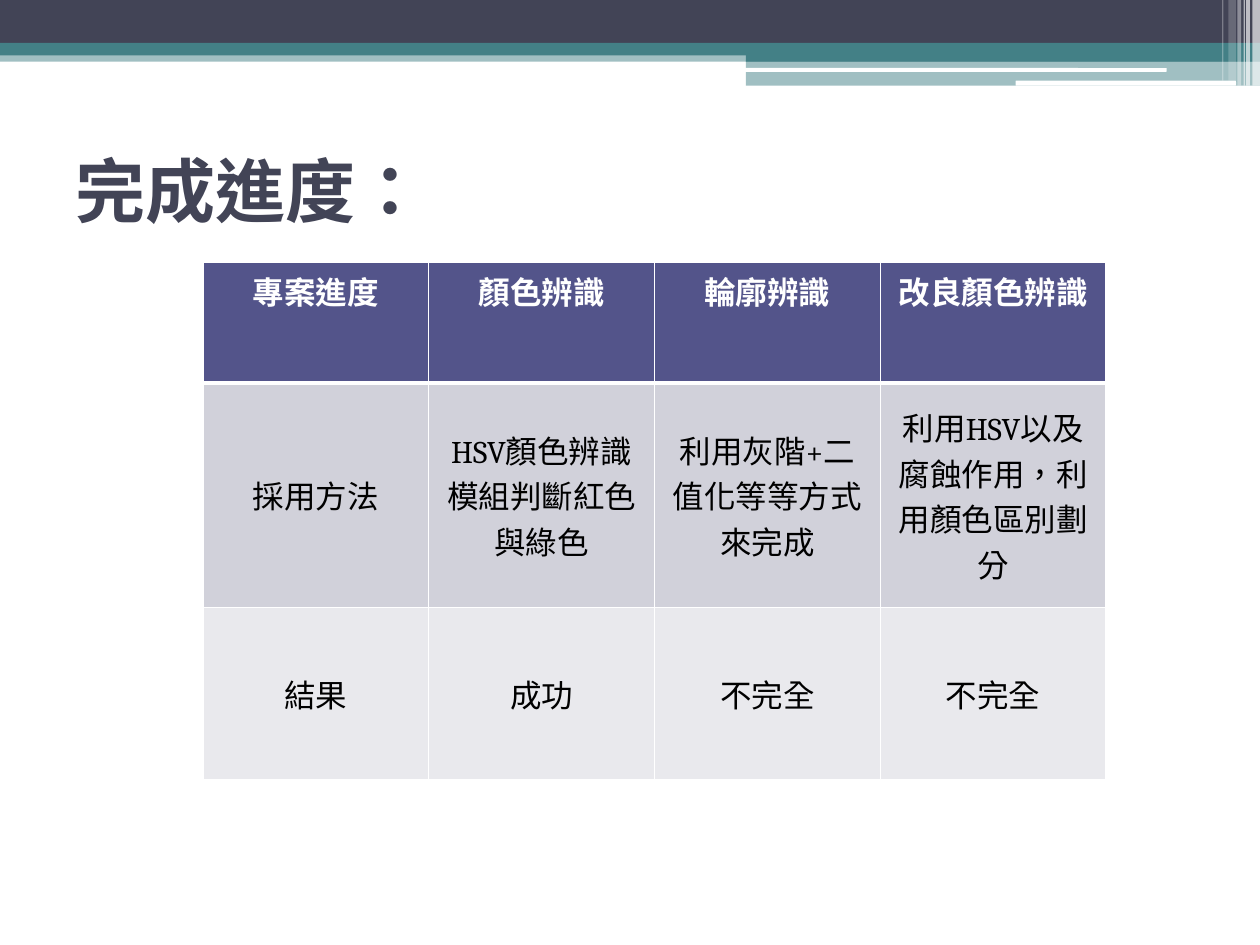
from lxml.etree import SubElement
from pptx import Presentation
from pptx.dml.color import RGBColor
from pptx.enum.lang import MSO_LANGUAGE_ID
from pptx.enum.shapes import MSO_SHAPE
from pptx.enum.text import MSO_ANCHOR, PP_ALIGN
from pptx.oxml import parse_xml
from pptx.oxml.ns import nsdecls, qn
from pptx.util import Inches, Pt

NAVY = RGBColor(0x42, 0x44, 0x56)
TEAL = RGBColor(0x43, 0x80, 0x86)
WHITE = RGBColor(0xFF, 0xFF, 0xFF)
BLACK = RGBColor(0, 0, 0)
HEAD = RGBColor(0x53, 0x54, 0x8A)
DARK = RGBColor(0xD1, 0xD1, 0xDA)
LIGHT = RGBColor(0xE9, 0xE9, 0xED)
CJK = "Noto Sans CJK SC"
LANG = MSO_LANGUAGE_ID.TRADITIONAL_CHINESE

BARS = [
    (0, 0.4, 10, 0.09, TEAL, 50),
    (0, 0, 10, 0.34, NAVY, 100),
    (0, 0.34, 10, 0.1, TEAL, 100),
    (5.92, 0.39, 4.08, 0.1, TEAL, 100),
    (5.92, 0.48, 4.08, 0.2, TEAL, 50),
]
PILLS = [
    (5.91, 0.54, 3.35, 0.03, WHITE, 100),
    (8.06, 0.64, 1.75, 0.04, WHITE, 100),
]
STRIPES = [
    (9.94, 0, 0.06, 0.68, WHITE, 65),
    (9.89, 0, 0.03, 0.68, WHITE, 65),
    (9.87, 0, 0.01, 0.68, WHITE, 60),
    (9.82, 0, 0.03, 0.68, WHITE, 40),
    (9.75, 0, 0.06, 0.64, WHITE, 20),
    (9.7, 0, 0.01, 0.64, WHITE, 30),
]
ROWS = [
    ("專案進度", "顏色辨識", "輪廓辨識", "改良顏色辨識"),
    ("採用方法", "HSV顏色辨識模組判斷紅色與綠色", "利用灰階+二值化等等方式來完成",
     "利用HSV以及腐蝕作用，利用顏色區別劃分"),
    ("結果", "成功", "不完全", "不完全"),
]


def write(para, text, color, style):
    run = para.add_run()
    run.text = text
    for key, value in style.items():
        setattr(run.font, key, value)
    run.font.color.rgb = color
    SubElement(run.font._element, qn("a:ea"), typeface=CJK)


def add_bar(slide, kind, box, color, alpha):
    bar = slide.shapes.add_shape(kind, *map(Inches, box))
    bar.shadow.inherit = False
    bar.line.fill.background()
    bar.fill.solid()
    bar.fill.fore_color.rgb = color
    if alpha < 100:
        tint = bar.fill._xPr.find(".//" + qn("a:srgbClr"))
        SubElement(tint, qn("a:alpha"), val=str(alpha * 1000))


def add_band(slide, left, top):
    groups = [(MSO_SHAPE.RECTANGLE, BARS), (MSO_SHAPE.ROUNDED_RECTANGLE, PILLS),
              (MSO_SHAPE.RECTANGLE, STRIPES)]
    for kind, parts in groups:
        for x, y, wide, high, color, alpha in parts:
            add_bar(slide, kind, (left + x, top + y, wide, high), color, alpha)


def add_title(slide, box):
    frame = slide.shapes.add_textbox(*map(Inches, box)).text_frame
    frame.word_wrap = True
    frame.vertical_anchor = MSO_ANCHOR.MIDDLE
    style = {"name": CJK, "size": Pt(40), "bold": True, "language_id": LANG}
    write(frame.paragraphs[0], "完成進度：", NAVY, style)


def add_edges(cell, widths):
    props = cell._tc.get_or_add_tcPr()
    for spot, (side, width) in enumerate(widths.items()):
        props.insert(spot, parse_xml(
            f'<a:ln{side} {nsdecls("a")} w="{Pt(width)}"><a:solidFill>'
            f'<a:srgbClr val="{WHITE}"/></a:solidFill></a:ln{side}>'))


def add_grid(slide, box):
    left, top, wide, high = map(Inches, box)
    grid = slide.shapes.add_table(len(ROWS), len(ROWS[0]), left, top, wide, high).table
    for col in grid.columns:
        col.width = wide // len(ROWS[0])
    for row, part in zip(grid.rows, (0.96, 1.78, 1.37)):
        row.height = int(high * part / 4.11)
    for r, (texts, fill) in enumerate(zip(ROWS, (HEAD, DARK, LIGHT))):
        first = r == 0
        style = {"name": "Cambria", "size": Pt(18), "bold": first, "language_id": LANG}
        widths = {"L": 1, "R": 1, "T": 3 if r == 1 else 1, "B": 3 if first else 1}
        for c, text in enumerate(texts):
            cell = grid.cell(r, c)
            cell.fill.solid()
            cell.fill.fore_color.rgb = fill
            cell.vertical_anchor = MSO_ANCHOR.TOP if first else MSO_ANCHOR.MIDDLE
            para = cell.text_frame.paragraphs[0]
            para.alignment = PP_ALIGN.CENTER
            write(para, text, WHITE if first else BLACK, style)
            add_edges(cell, widths)


def main():
    deck = Presentation()
    deck.slide_width, deck.slide_height = Inches(10), Inches(7.5)
    slide = deck.slides.add_slide(deck.slide_layouts[6])
    add_band(slide, 0, 0)
    add_title(slide, (0.5, 0.92, 9, 1.17))
    add_grid(slide, (1.61, 2.08, 7.17, 4.11))
    deck.save("out.pptx")


if __name__ == "__main__":
    main()
